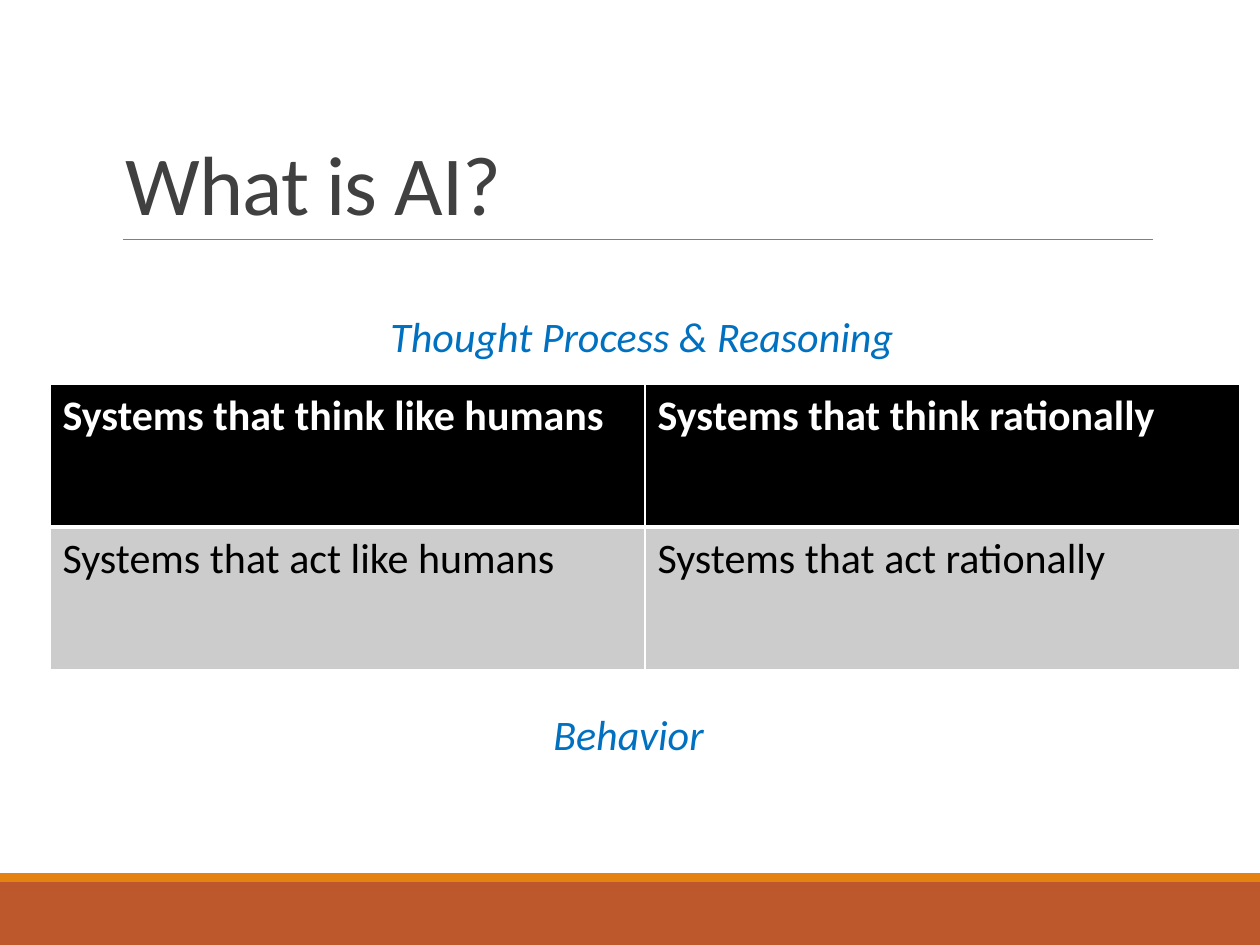
from dataclasses import dataclass

from lxml.etree import SubElement
from pptx import Presentation
from pptx.dml.color import RGBColor
from pptx.enum.shapes import MSO_CONNECTOR, MSO_SHAPE
from pptx.enum.text import MSO_ANCHOR, PP_ALIGN
from pptx.oxml.ns import qn
from pptx.util import Emu, Pt

PX_PER_INCH = 126


@dataclass(frozen=True)
class Theme:
    font: str = "Calibri"
    title_size: int = 48
    body_size: int = 24
    title: str = "404040"
    caption: str = "0070C0"
    rule: str = "808080"
    band: str = "BD582C"
    stripe: str = "E48312"
    header_fill: str = "000000"
    header_text: str = "FFFFFF"
    body_fill: str = "CCCCCC"
    body_text: str = "000000"
    border: str = "FFFFFF"


THEME = Theme()


def px(length):
    return Emu(round(length * 914400 / PX_PER_INCH))


def rgb(value):
    return RGBColor.from_string(value)


def style(paragraph, size, color, bold=False, italic=False):
    font = paragraph.font
    font.name, font.size = THEME.font, Pt(size)
    font.bold, font.italic = bold, italic
    font.color.rgb = rgb(color)


def add_bar(slide, top, height, color):
    bar = slide.shapes.add_shape(MSO_SHAPE.RECTANGLE, 0, px(top), px(1260), px(height))
    bar.shadow.inherit = False
    bar.fill.solid()
    bar.fill.fore_color.rgb = rgb(color)
    bar.line.fill.background()


def add_rule(slide, left, right, y):
    rule = slide.shapes.add_connector(MSO_CONNECTOR.STRAIGHT, px(left), px(y), px(right), px(y))
    rule.line.color.rgb = rgb(THEME.rule)
    rule.line.width = Pt(0.5)
    SubElement(rule._element.spPr, qn("a:effectLst"))


def add_title(slide, text, left, top, width, height):
    frame = slide.shapes.add_textbox(px(left), px(top), px(width), px(height)).text_frame
    frame.word_wrap = True
    frame.vertical_anchor = MSO_ANCHOR.BOTTOM
    title = frame.paragraphs[0]
    title.line_spacing = 0.85
    run = title.add_run()
    run.text = text
    style(title, THEME.title_size, THEME.title)
    run._r.get_or_add_rPr().set("spc", "-50")


def add_caption(slide, text, left, top, width, height):
    frame = slide.shapes.add_textbox(px(left), px(top), px(width), px(height)).text_frame
    frame.word_wrap = False
    caption = frame.paragraphs[0]
    caption.text = text
    caption.alignment = PP_ALIGN.LEFT
    style(caption, THEME.body_size, THEME.caption, italic=True)


def set_borders(cell, widths):
    """Draw cell borders; they must precede the fill in the cell properties."""
    properties = cell._tc.get_or_add_tcPr()
    for position, (side, width) in enumerate(widths.items()):
        line = SubElement(properties, qn(f"a:ln{side}"), w=str(Pt(width)))
        fill = SubElement(line, qn("a:solidFill"))
        SubElement(fill, qn("a:srgbClr"), val=THEME.border)
        properties.insert(position, line)


def add_matrix(slide, rows, left, top, width, height):
    matrix = slide.shapes.add_table(
        len(rows), len(rows[0]), px(left), px(top), px(width), px(height)
    ).table
    for r, texts in enumerate(rows):
        header = r == 0
        fill = THEME.header_fill if header else THEME.body_fill
        color = THEME.header_text if header else THEME.body_text
        # The heavy line lies between the header and the first body row
        widths = {"L": 1, "R": 1, "T": 3 if r == 1 else 1, "B": 3 if header else 1}
        for c, text in enumerate(texts):
            cell = matrix.cell(r, c)
            cell.text = text
            style(cell.text_frame.paragraphs[0], THEME.body_size, color, bold=header)
            cell.fill.solid()
            cell.fill.fore_color.rgb = rgb(fill)
            set_borders(cell, widths)


def main():
    deck = Presentation()
    deck.slide_width, deck.slide_height = px(1260), px(945)
    slide = deck.slides.add_slide(deck.slide_layouts[6])

    # Footer bands
    add_bar(slide, 882, 63, THEME.band)
    add_bar(slide, 873, 9, THEME.stripe)

    # Title and rule
    add_rule(slide, 123, 1153, 239)
    add_title(slide, "What is AI?", 113, 39, 1040, 200)

    # Matrix of approaches, captioned above and below
    approaches = [
        ["Systems that think like humans", "Systems that think rationally"],
        ["Systems that act like humans", "Systems that act rationally"],
    ]
    add_matrix(slide, approaches, 50, 384, 1190, 286)
    add_caption(slide, "Thought Process & Reasoning", 378, 304, 534, 63)
    add_caption(slide, "Behavior", 541, 702, 178, 63)

    deck.save("out.pptx")


if __name__ == "__main__":
    main()
